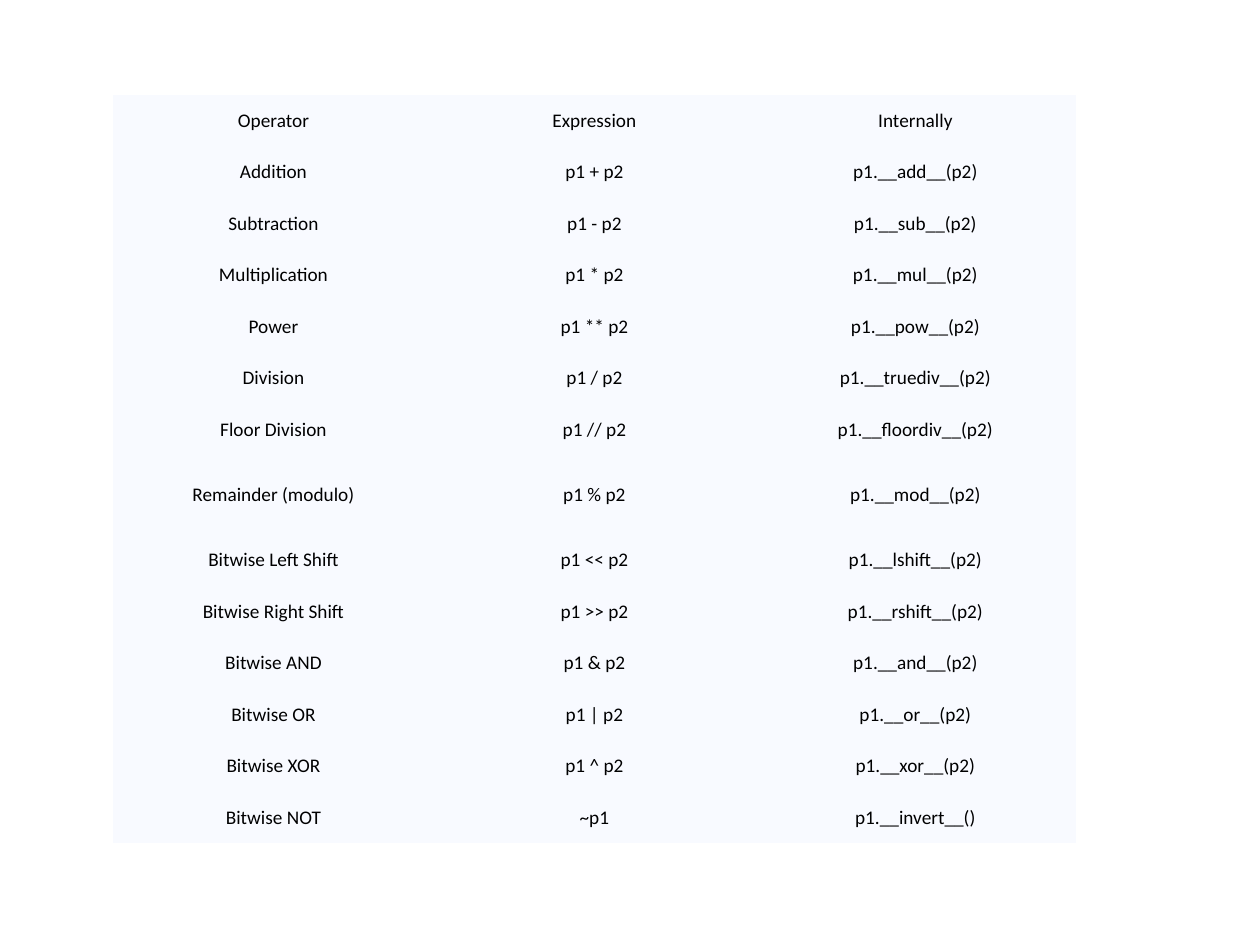
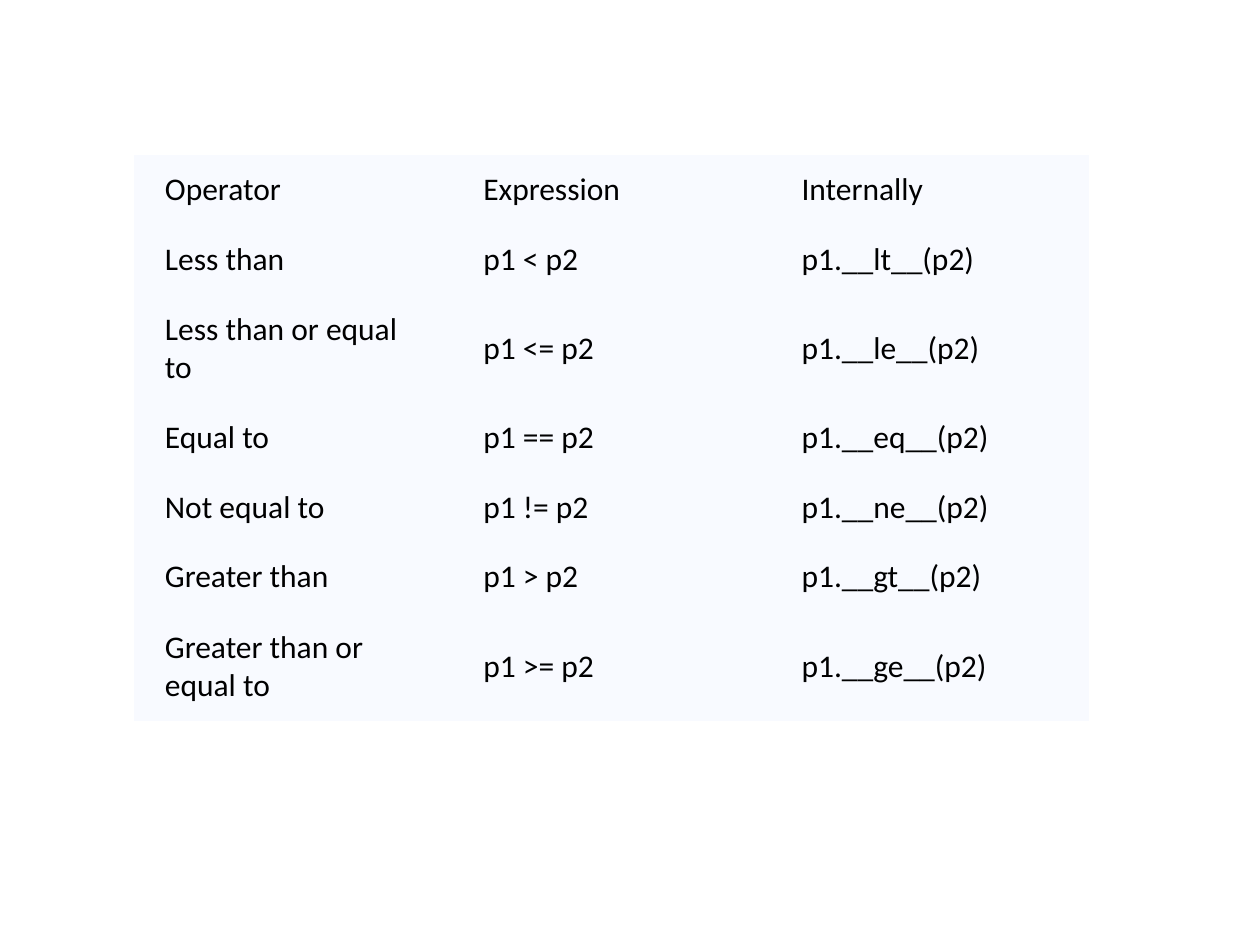
from pptx import Presentation
from pptx.dml.color import RGBColor
from pptx.enum.text import MSO_ANCHOR as Anchor, PP_ALIGN as Align
from pptx.oxml.ns import qn
from pptx.util import Pt

PX = 914400 / 126
BLACK = RGBColor(0x00, 0x00, 0x00)
PALE_BLUE = RGBColor(0xF8, 0xFA, 0xFF)
NO_STYLE = "{2D5ABB26-0587-4C30-8999-92F81FD0307C}"
HEADINGS = ("Operator", "Expression", "Internally")
FONT = {"name": "Calibri", "bold": False}

ARITHMETIC = [
    ("Addition", "+", "add"),
    ("Subtraction", "-", "sub"),
    ("Multiplication", "*", "mul"),
    ("Power", "**", "pow"),
    ("Division", "/", "truediv"),
    ("Floor Division", "//", "floordiv"),
    ("Remainder (modulo)", "%", "mod"),
    ("Bitwise Left Shift", "<<", "lshift"),
    ("Bitwise Right Shift", ">>", "rshift"),
    ("Bitwise AND", "&", "and"),
    ("Bitwise OR", "|", "or"),
    ("Bitwise XOR", "^", "xor"),
]
INVERSION = ("Bitwise NOT", "~p1", "p1.__invert__()")

COMPARISON = [
    ("Less than", "<", "lt"),
    ("Less than or equal to", "<=", "le"),
    ("Equal to", "==", "eq"),
    ("Not equal to", "!=", "ne"),
    ("Greater than", ">", "gt"),
    ("Greater than or equal to", ">=", "ge"),
]


def px(length):
    """Turn px into EMU."""
    return round(length * PX)


def apply(target, formats):
    """Set each attribute given in a dict of format values."""
    for attribute, value in formats.items():
        setattr(target, attribute, value)


def binary_rows(operators):
    """Spell out the expression and the method call of each binary operator."""
    return [(name, f"p1 {symbol} p2", f"p1.__{method}__(p2)")
            for name, symbol, method in operators]


def fill_cell(cell, text, size, align, side_inset):
    """Write and format one table cell."""
    cell.text = text
    cell.fill.solid()
    cell.fill.fore_color.rgb = PALE_BLUE
    apply(cell, {"vertical_anchor": Anchor.MIDDLE,
                 "margin_left": px(side_inset), "margin_right": px(side_inset),
                 "margin_top": px(6), "margin_bottom": px(6)})
    paragraph = cell.text_frame.paragraphs[0]
    paragraph.alignment = align
    font = paragraph.runs[0].font
    apply(font, {**FONT, "size": Pt(size)})
    font.color.rgb = BLACK


def operator_table(slide, box, operators, tall_rows, tall_height, **cell_format):
    """Place an operator table in box, sharing the height left by its tall rows."""
    left, top, width, height = box
    lines = [HEADINGS, *operators]
    row_height = (height - tall_height * len(tall_rows)) / (len(lines) - len(tall_rows))
    frame = slide.shapes.add_table(len(lines), len(HEADINGS), *map(px, box))
    for style in frame.element.iter(qn("a:tableStyleId")):
        style.text = NO_STYLE
    table = frame.table
    apply(table, {"first_row": False, "horz_banding": False})
    for column in table.columns:
        column.width = px(width / len(HEADINGS))
    for index, line in enumerate(lines):
        table.rows[index].height = px(tall_height if index in tall_rows else row_height)
        for position, text in enumerate(line):
            fill_cell(table.cell(index, position), text, **cell_format)


def main():
    """Build both operator slides."""
    deck = Presentation()
    apply(deck, {"slide_width": px(1260), "slide_height": px(945)})
    blank = deck.slide_layouts[6]
    operator_table(deck.slides.add_slide(blank), (113, 95, 963, 749),
                   [*binary_rows(ARITHMETIC), INVERSION], (7,), 79,
                   size=11, align=Align.CENTER, side_inset=19)
    operator_table(deck.slides.add_slide(blank), (134, 155, 955, 566),
                   binary_rows(COMPARISON), (2, 6), 109,
                   size=18, align=Align.LEFT, side_inset=31)
    deck.save("out.pptx")


if __name__ == "__main__":
    main()
